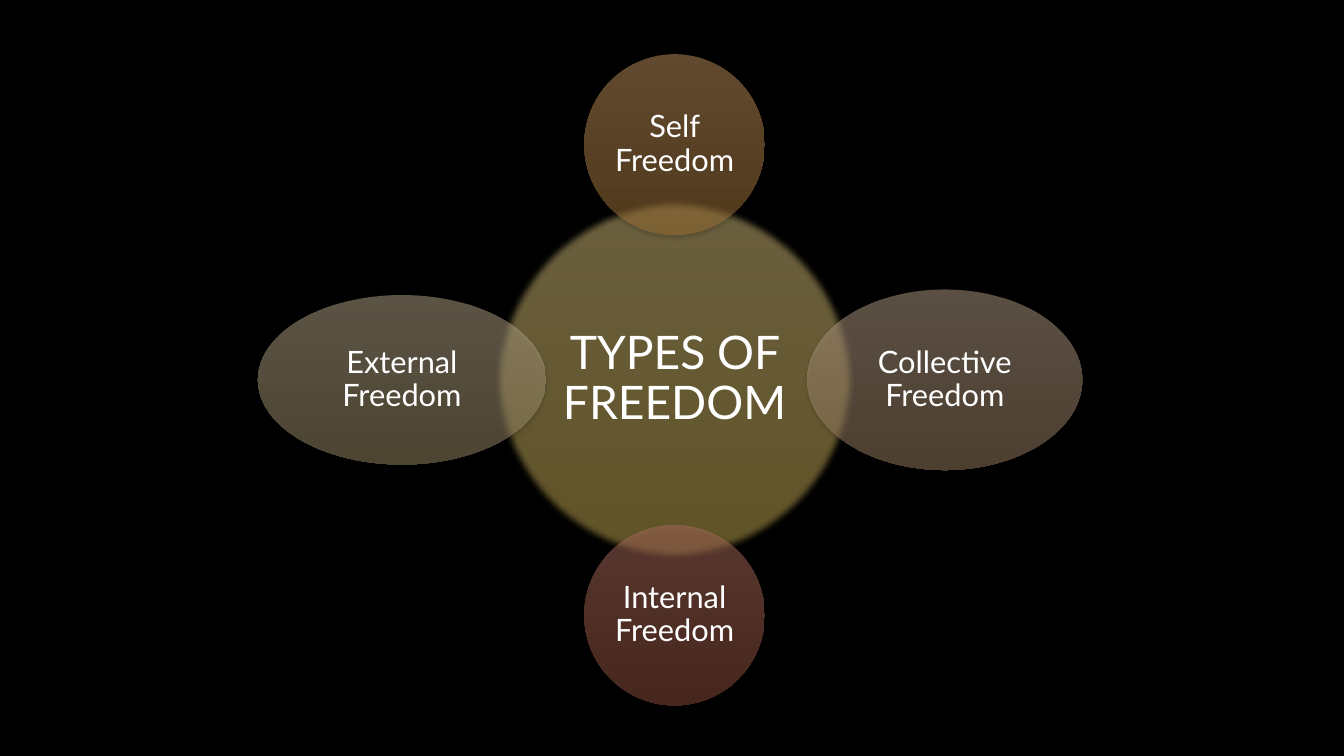
from math import sqrt

from lxml import etree
from pptx import Presentation
from pptx import util as u
from pptx.dml.color import RGBColor
from pptx.enum import shapes, text
from pptx.oxml.ns import qn

BLACK = RGBColor(0x00, 0x00, 0x00)
WHITE = RGBColor(0xFF, 0xFF, 0xFF)
GOLD = RGBColor(0xD8, 0xC2, 0x7E), RGBColor(0xC2, 0xA7, 0x4D)
ORANGE = RGBColor(0xC1, 0x93, 0x5D), RGBColor(0xA1, 0x73, 0x37)
TAUPE = RGBColor(0xB6, 0x9F, 0x88), RGBColor(0x9A, 0x7E, 0x61)
RUST = RGBColor(0xAD, 0x6E, 0x5E), RGBColor(0x8E, 0x4D, 0x3A)
OLIVE = RGBColor(0xB6, 0xA8, 0x8B), RGBColor(0x9A, 0x89, 0x64)

FONT = "Lato"
CENTRE = 17.0, 9.57  # all lengths in cm
HUB = ("TYPES OF FREEDOM", (0, 0), (9.12, 9.12), GOLD)
SATELLITES = [  # label, offset from the hub's centre, size, colours
    ("Self Freedom", (0, -5.93), (4.55, 4.55), ORANGE),
    ("Collective Freedom", (6.81, 0), (6.93, 4.55), TAUPE),
    ("Internal Freedom", (0, 5.93), (4.55, 4.55), RUST),
    ("External Freedom", (-6.87, 0), (7.26, 4.27), OLIVE),
]
# blur and distance in points, opacity in percent
HUB_SHADOW = 8.5, 1, 100
SATELLITE_SHADOW = 3.5, 2.2, 32
SOFT_EDGE = 5


def frame(offset, size, scale=1.0):
    """Left, top, width and height of a box centred at an offset from the hub."""
    width, height = (side * scale for side in size)
    left = CENTRE[0] + offset[0] - width / 2
    top = CENTRE[1] + offset[1] - height / 2
    return [u.Cm(length) for length in (left, top, width, height)]


def add_child(parent, tag, **attributes):
    child = etree.SubElement(parent, qn(tag))
    for name, value in attributes.items():
        child.set(name, str(value))
    return child


def add_ellipse(group, offset, size, colours, shadow, soft_edge=0):
    ellipse = group.shapes.add_shape(shapes.MSO_SHAPE.OVAL, *frame(offset, size))
    ellipse.line.fill.background()
    ellipse.fill.gradient()
    ellipse.fill.gradient_angle = 270
    for stop, colour in zip(ellipse.fill.gradient_stops, colours):
        stop.color.rgb = colour
    properties = ellipse._element.spPr
    for colour in properties.iter(qn("a:srgbClr")):
        add_child(colour, "a:alpha", val=50000)

    ellipse.shadow.inherit = False
    effects = properties.find(qn("a:effectLst"))
    blur, distance, opacity = shadow
    cast = add_child(effects, "a:outerShdw", blurRad=u.Pt(blur),
                     dist=u.Pt(distance), dir=5400000, rotWithShape=0)
    shade = add_child(cast, "a:srgbClr", val=BLACK)
    add_child(shade, "a:alpha", val=opacity * 1000)
    if soft_edge:
        add_child(effects, "a:softEdge", rad=u.Pt(soft_edge))


def add_label(group, label, offset, size, points, inset):
    """Centred text in the rectangle inscribed in an ellipse."""
    box = group.shapes.add_textbox(*frame(offset, size, 1 / sqrt(2)))
    body = box.text_frame
    body.word_wrap = True
    body.vertical_anchor = text.MSO_ANCHOR.MIDDLE
    body.margin_left = body.margin_right = u.Cm(inset)
    body.margin_top = body.margin_bottom = u.Cm(inset)
    para = body.paragraphs[0]
    para.alignment = text.PP_ALIGN.CENTER
    para.line_spacing = 0.9
    span = para.add_run()
    span.text = label
    span.font.name = FONT
    span.font.size = u.Pt(points)
    span.font.color.rgb = WHITE


def main():
    deck = Presentation()
    deck.slide_width, deck.slide_height = u.Cm(33.87), u.Cm(19.05)
    page = deck.slides.add_slide(deck.slide_layouts[6])
    page.background.fill.solid()
    page.background.fill.fore_color.rgb = BLACK

    diagram = page.shapes.add_group_shape()
    label, offset, size, colours = HUB
    add_ellipse(diagram, offset, size, colours, HUB_SHADOW, SOFT_EDGE)
    add_label(diagram, label, offset, size, points=33, inset=0.12)
    for label, offset, size, colours in SATELLITES:
        add_ellipse(diagram, offset, size, colours, SATELLITE_SHADOW)
        add_label(diagram, label, offset, size, points=22, inset=0.08)

    deck.save("out.pptx")


if __name__ == "__main__":
    main()
